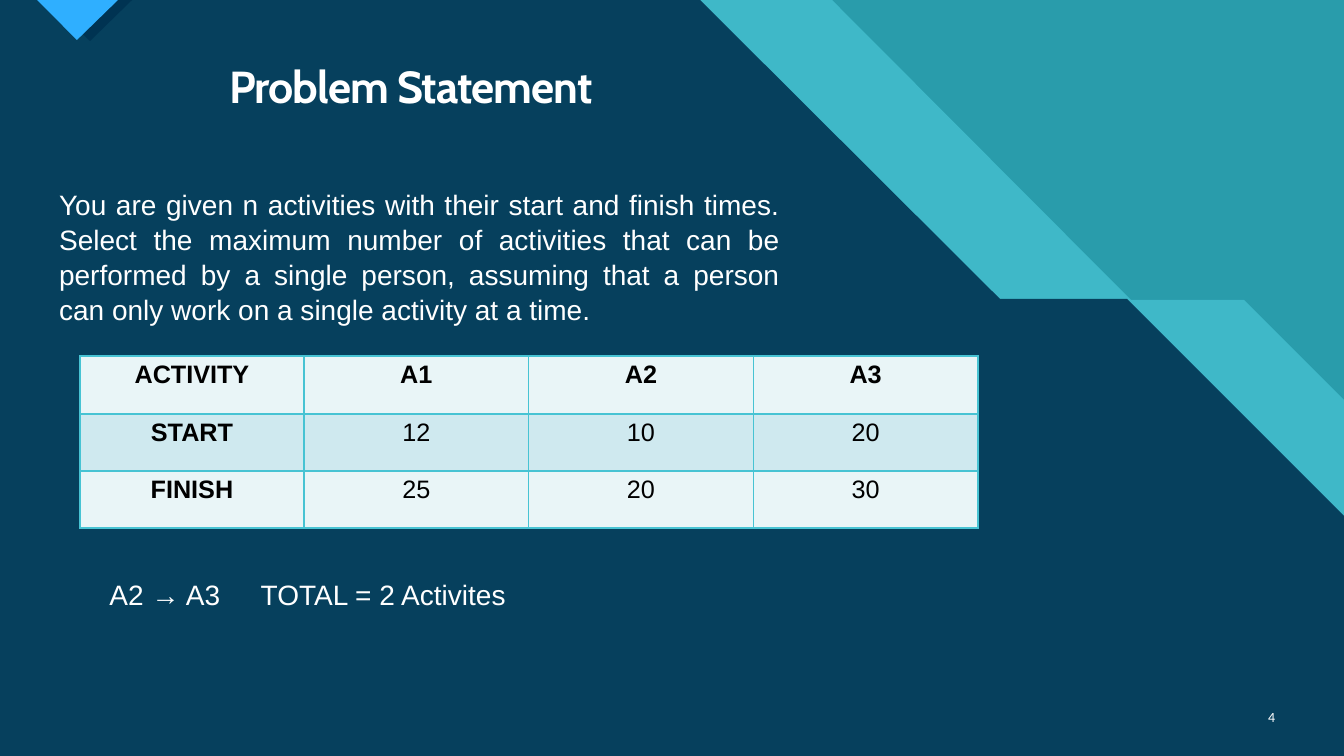
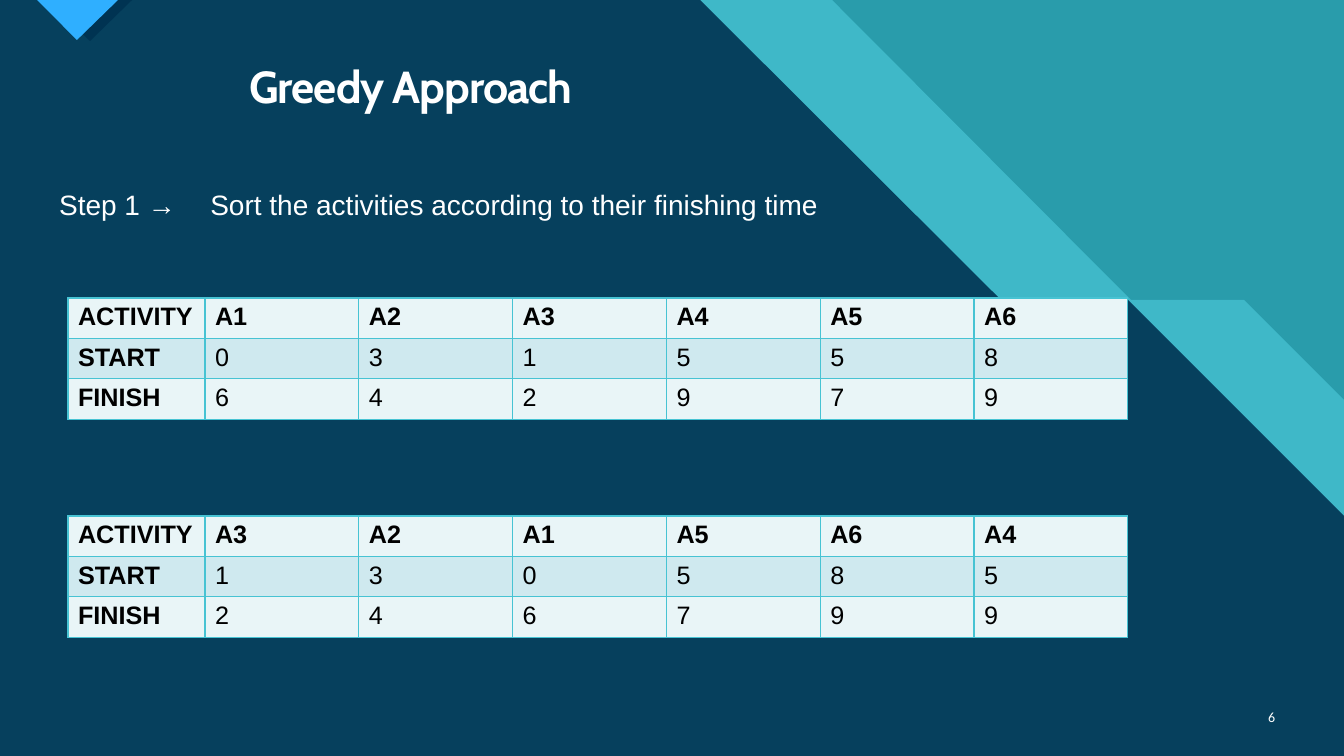
from lxml.etree import SubElement
from pptx import Presentation
from pptx.dml.color import RGBColor
from pptx.enum.text import MSO_ANCHOR, MSO_AUTO_SIZE, PP_ALIGN
from pptx.oxml import parse_xml
from pptx.oxml.ns import nsdecls, qn
from pptx.util import Emu, Pt

SCALE = 914400 / 100.8
WIDE, TALL = 1344, 756

TEAL = RGBColor(0x29, 0x9C, 0xAB)
AQUA = RGBColor(0x47, 0xC3, 0xD3)
NAVY = RGBColor(0x00, 0x33, 0x52)
BLUE = RGBColor(0x2F, 0xAF, 0xFF)
PALE = RGBColor(0xE9, 0xF5, 0xF7)
MIST = RGBColor(0xCF, 0xE9, 0xEF)
WHITE = RGBColor(0xFF, 0xFF, 0xFF)
BLACK = RGBColor(0x00, 0x00, 0x00)


def px(size):
    return Emu(round(size * SCALE))


def place(shape, x, y, w, h):
    shape.left, shape.top, shape.width, shape.height = map(px, (x, y, w, h))


def write(para, text, font="Arial", size=20, color=WHITE, bold=False,
          align=PP_ALIGN.LEFT, space=None, line=None, track=None, tabs=None):
    para.alignment = align
    if line:
        para.line_spacing = line
    if space:
        para.space_before, para.space_after = map(Pt, space)
    if tabs is not None:
        props = para._p.get_or_add_pPr()
        props.set("marL", "0")
        props.set("indent", "0")
        SubElement(props, qn("a:buNone"))
        stops = SubElement(props, qn("a:tabLst"))
        for stop in tabs:
            SubElement(stops, qn("a:tab"), pos=str(px(stop)), algn="l")
    run = para.add_run()
    run.text = text
    run.font.name = font
    run.font.size = Pt(size)
    run.font.bold = bold
    run.font.color.rgb = color
    if track:
        run._r.get_or_add_rPr().set("spc", str(track))


class Deck:
    def __init__(self):
        self.show = Presentation()
        self.show.slide_width, self.show.slide_height = px(WIDE), px(TALL)
        self.base = self.show.slide_layouts[1]
        self.slide = None

    def page(self, title, number):
        self.slide = self.show.slides.add_slide(self.base)
        head = self.slide.shapes.title
        place(head, 49, 59, 724, 59)
        head.text_frame.vertical_anchor = MSO_ANCHOR.MIDDLE
        write(head.text_frame.paragraphs[0], title, font="Cabin", size=32,
              bold=True, align=PP_ALIGN.CENTER, line=0.9, track=-70)
        foot = self.slide.shapes.add_textbox(px(1241), px(697), px(44), px(40))
        foot.text_frame.word_wrap = True
        foot.text_frame.vertical_anchor = MSO_ANCHOR.MIDDLE
        write(foot.text_frame.paragraphs[0], str(number), font="Calibri",
              size=10, align=PP_ALIGN.RIGHT)

    def band(self, points, color, alpha=100):
        path = self.slide.shapes.build_freeform(*points[0], scale=SCALE)
        path.add_line_segments(points[1:], close=True)
        shape = path.convert_to_shape()
        shape.shadow.inherit = False
        shape.fill.solid()
        shape.fill.fore_color.rgb = color
        shape.line.fill.background()
        if alpha < 100:
            tint = shape.element.spPr.find(".//" + qn("a:srgbClr"))
            SubElement(tint, qn("a:alpha"), val=str(alpha * 1000))
        self.base.shapes.element.append(shape.element)

    def dress(self):
        back = self.base.background.fill
        back.solid()
        back.fore_color.rgb = TEAL
        base = [(WIDE, TALL), (0, TALL)]
        self.band([(0, 0), (832, 0), (1131, 300), (1244, 300), (WIDE, 400)] + base,
                  AQUA, 74)
        self.band([(0, 0), (700, 0), (1000, 299), (1127, 299), (WIDE, 516)] + base,
                  NAVY, 90)
        self.band([(48, 0), (132, 0), (90, 41)], NAVY)
        self.band([(37, 0), (118, 0), (77, 40)], BLUE)

    def body(self, width, *items):
        shape = self.slide.placeholders[1]
        place(shape, 49, 181, width, 452)
        frame = shape.text_frame
        frame.word_wrap = True
        frame.auto_size = MSO_AUTO_SIZE.NONE
        frame.vertical_anchor = MSO_ANCHOR.TOP
        for i, (text, style) in enumerate(items):
            para = frame.add_paragraph() if i else frame.paragraphs[0]
            write(para, text, **{"space": (6, 4), "tabs": (), "line": 1.04, **style})

    def table(self, rows, x, y, w, h, side, top, align=PP_ALIGN.LEFT):
        count, span = len(rows), len(rows[0])
        grid = self.slide.shapes.add_table(count, span, px(x), px(y), px(w), px(h)).table
        grid.first_row = grid.horz_banding = False
        for i, col in enumerate(grid.columns):
            col.width = px((w - side) / (span - 1) if i else side)
        for i, row in enumerate(grid.rows):
            row.height = px((h - top) / (count - 1) if i else top)
            for j, text in enumerate(rows[i]):
                cell = grid.cell(i, j)
                cell.fill.solid()
                cell.fill.fore_color.rgb = MIST if i % 2 else PALE
                write(cell.text_frame.paragraphs[0], text, size=18, color=BLACK,
                      bold=i == 0 or j == 0, align=align)
                self.edge(cell)

    def edge(self, cell):
        props = cell._tc.get_or_add_tcPr()
        for i, side in enumerate("LRTB"):
            props.insert(i, parse_xml(
                f'<a:ln{side} {nsdecls("a")} w="{Pt(1)}"><a:solidFill>'
                f'<a:srgbClr val="{AQUA}"/></a:solidFill></a:ln{side}>'))


def main():
    deck = Deck()

    deck.page("Problem Statement", 4)
    deck.dress()
    deck.body(
        741,
        ("You are given n activities with their start and finish times. "
         "Select the maximum number of activities that can be performed by "
         "a single person, assuming that a person can only work on a single "
         "activity at a time.", {"align": PP_ALIGN.JUSTIFY}),
        ("\tA2 → A3\tTOTAL = 2 Activites", {"space": (175, 4), "tabs": (193, 342)}))
    deck.table([["ACTIVITY", "A1", "A2", "A3"],
                ["START", "12", "10", "20"],
                ["FINISH", "25", "20", "30"]],
               80, 356, 898, 172, side=224, top=58, align=PP_ALIGN.CENTER)

    deck.page("Greedy Approach", 6)
    deck.body(828, ("Step 1 →\tSort the activities according to their finishing time",
                    {"tabs": (132,)}))
    given = [("A1", "0", "6"), ("A2", "3", "4"), ("A3", "1", "2"),
             ("A4", "5", "9"), ("A5", "5", "7"), ("A6", "8", "9")]
    ranked = [given[i] for i in (2, 1, 0, 4, 5, 3)]
    for tasks, y in ((given, 298), (ranked, 516)):
        rows = list(zip(("ACTIVITY", "START", "FINISH"), *tasks))
        deck.table(rows, 68, y, 1060, 120, side=137, top=39)

    deck.show.save("out.pptx")


if __name__ == "__main__":
    main()
